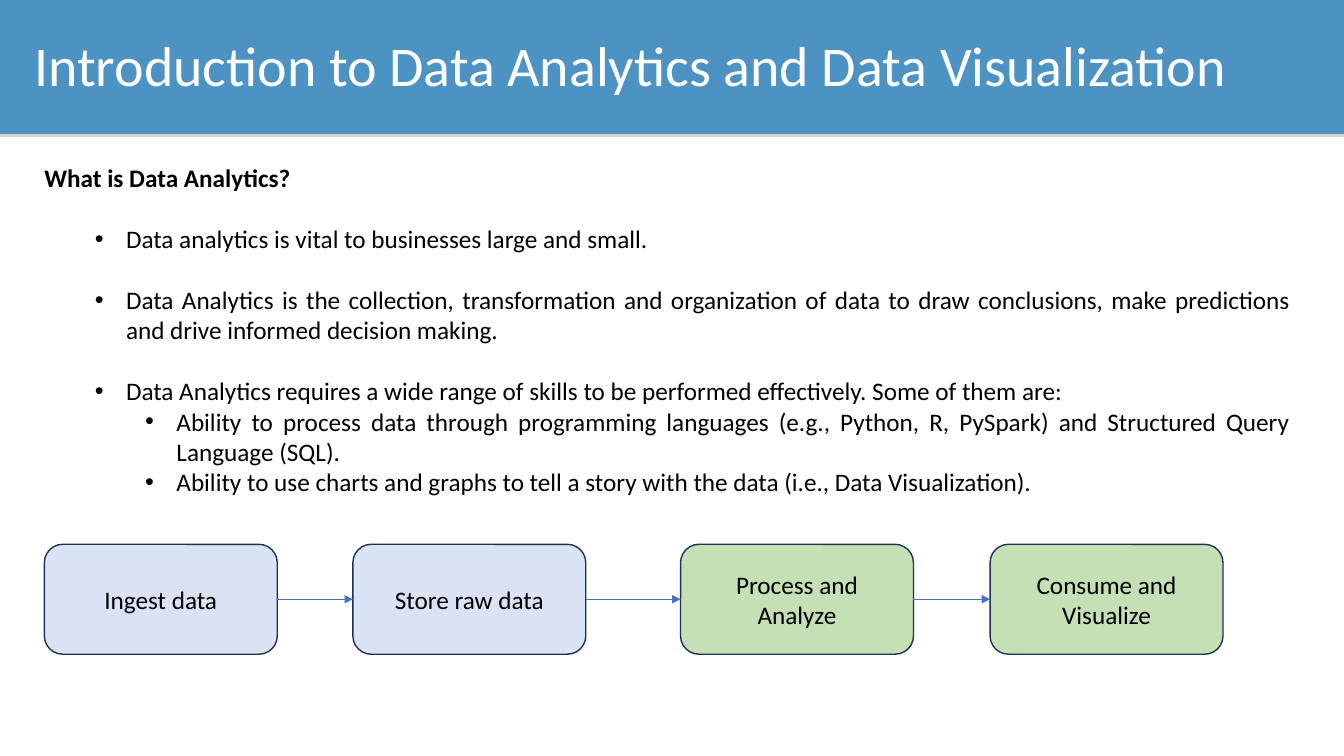
from dataclasses import dataclass

from lxml.etree import SubElement
from pptx import Presentation
from pptx.dml.color import RGBColor
from pptx.enum.shapes import MSO_CONNECTOR, MSO_SHAPE
from pptx.enum.text import MSO_ANCHOR, MSO_AUTO_SIZE, PP_ALIGN
from pptx.oxml.ns import qn
from pptx.util import Inches, Pt

FONT = "Calibri"
BLACK, WHITE, BANNER_BLUE = "000000", "FFFFFF", "4C93C4"
SOURCE_BLUE, RESULT_GREEN = "DAE3F3", "C5E0B4"
OUTLINE_NAVY, ARROW_BLUE = "1E3256", "4472C4"
BANNER_HEIGHT = 1.33
STEP_TOP, STEP_WIDTH, STEP_HEIGHT = 5.4, 2.31, 1.09
BULLET_HANG = 0.31
BLANK_LINE = 22


@dataclass(frozen=True)
class Line:
    text: str
    level: int = 0
    before: float = 0
    bold: bool = False


@dataclass(frozen=True)
class Step:
    text: str
    left: float
    fill: str


TITLE = "Introduction to Data Analytics and Data Visualization"
LINES = [
    Line("What is Data Analytics?", bold=True),
    Line("Data analytics is vital to businesses large and small.", 1, BLANK_LINE),
    Line("Data Analytics is the collection, transformation and organization of data "
         "to draw conclusions, make predictions and drive informed decision making.",
         1, BLANK_LINE),
    Line("Data Analytics requires a wide range of skills to be performed effectively. "
         "Some of them are:", 1, BLANK_LINE),
    Line("Ability to process data through programming languages (e.g., Python, R, "
         "PySpark) and Structured Query Language (SQL).", 2),
    Line("Ability to use charts and graphs to tell a story with the data "
         "(i.e., Data Visualization).", 2),
]
STEPS = [
    Step("Ingest data", 0.44, SOURCE_BLUE),
    Step("Store raw data", 3.5, SOURCE_BLUE),
    Step("Process and Analyze", 6.75, RESULT_GREEN),
    Step("Consume and Visualize", 9.82, RESULT_GREEN),
]


def color(hex_value: str) -> RGBColor:
    return RGBColor.from_string(hex_value)


def write(para, text: str, *, size: float = 18, ink: str = BLACK, bold: bool = False,
          align=PP_ALIGN.LEFT, before: float = 0) -> None:
    para.alignment = align
    para.space_before = Pt(before)
    span = para.add_run()
    span.text = text
    span.font.name = FONT
    span.font.size = Pt(size)
    span.font.bold = bold
    span.font.color.rgb = color(ink)


def set_bullet(para, level: int) -> None:
    para.level = level
    properties = para._p.get_or_add_pPr()
    margin = BULLET_HANG + 0.5 * level if level else 0
    properties.set("marL", str(Inches(margin)))
    properties.set("indent", str(Inches(-BULLET_HANG if level else 0)))
    if level:
        SubElement(properties, qn("a:buFont")).set("typeface", "Arial")
        SubElement(properties, qn("a:buChar")).set("char", "•")
    else:
        SubElement(properties, qn("a:buNone"))


def place(holder, left: float, top: float, width: float, height: float):
    holder.left, holder.top = Inches(left), Inches(top)
    holder.width, holder.height = Inches(width), Inches(height)
    frame = holder.text_frame
    frame.word_wrap = True
    frame.auto_size = MSO_AUTO_SIZE.NONE
    frame.vertical_anchor = MSO_ANCHOR.TOP
    return frame


def add_box(page, kind, left: float, top: float, width: float, height: float, fill: str):
    box = page.shapes.add_shape(kind, Inches(left), Inches(top), Inches(width), Inches(height))
    box.shadow.inherit = False
    box.fill.solid()
    box.fill.fore_color.rgb = color(fill)
    return box


def add_banner(page, width: float) -> None:
    banner = add_box(page, MSO_SHAPE.RECTANGLE, 0, 0, width, BANNER_HEIGHT, BANNER_BLUE)
    banner.line.fill.background()
    effects = banner.element.spPr.find(qn("a:effectLst"))
    shadow = SubElement(effects, qn("a:outerShdw"), blurRad="0", dist=str(Pt(2)),
                        dir="5400000", rotWithShape="0")
    tint = SubElement(shadow, qn("a:srgbClr"), val="808080")
    SubElement(tint, qn("a:alpha"), val="35000")
    page.shapes.title.element.addprevious(banner.element)


def add_step(page, step: Step) -> None:
    box = add_box(page, MSO_SHAPE.ROUNDED_RECTANGLE, step.left, STEP_TOP,
                  STEP_WIDTH, STEP_HEIGHT, step.fill)
    box.line.color.rgb = color(OUTLINE_NAVY)
    box.line.width = Pt(1)
    frame = box.text_frame
    frame.word_wrap = True
    frame.vertical_anchor = MSO_ANCHOR.MIDDLE
    write(frame.paragraphs[0], step.text, align=PP_ALIGN.CENTER)


def add_arrow(page, start: Step, end: Step) -> None:
    middle = Inches(STEP_TOP + STEP_HEIGHT / 2)
    arrow = page.shapes.add_connector(MSO_CONNECTOR.STRAIGHT, Inches(start.left + STEP_WIDTH),
                                      middle, Inches(end.left), middle)
    arrow.line.color.rgb = color(ARROW_BLUE)
    arrow.line.width = Pt(0.5)
    properties = arrow.element.spPr
    SubElement(properties.find(qn("a:ln")), qn("a:tailEnd"), type="triangle")
    SubElement(properties, qn("a:effectLst"))


def main() -> None:
    """Build the data analytics introduction slide."""
    deck = Presentation()
    deck.slide_width, deck.slide_height = Inches(13.33), Inches(7.5)
    page = deck.slides.add_slide(deck.slide_layouts[1])
    add_banner(page, 13.33)

    title = place(page.shapes.title, 0.24, 0.25, 12.76, 0.77)
    write(title.paragraphs[0], TITLE, size=40, ink=WHITE)

    body = place(page.placeholders[1], 0.34, 1.56, 12.56, 3.6)
    for index, line in enumerate(LINES):
        para = body.add_paragraph() if index else body.paragraphs[0]
        write(para, line.text, bold=line.bold, align=PP_ALIGN.JUSTIFY, before=line.before)
        set_bullet(para, line.level)

    for step in STEPS:
        add_step(page, step)
    for start, end in zip(STEPS, STEPS[1:]):
        add_arrow(page, start, end)
    deck.save("out.pptx")


if __name__ == "__main__":
    main()
